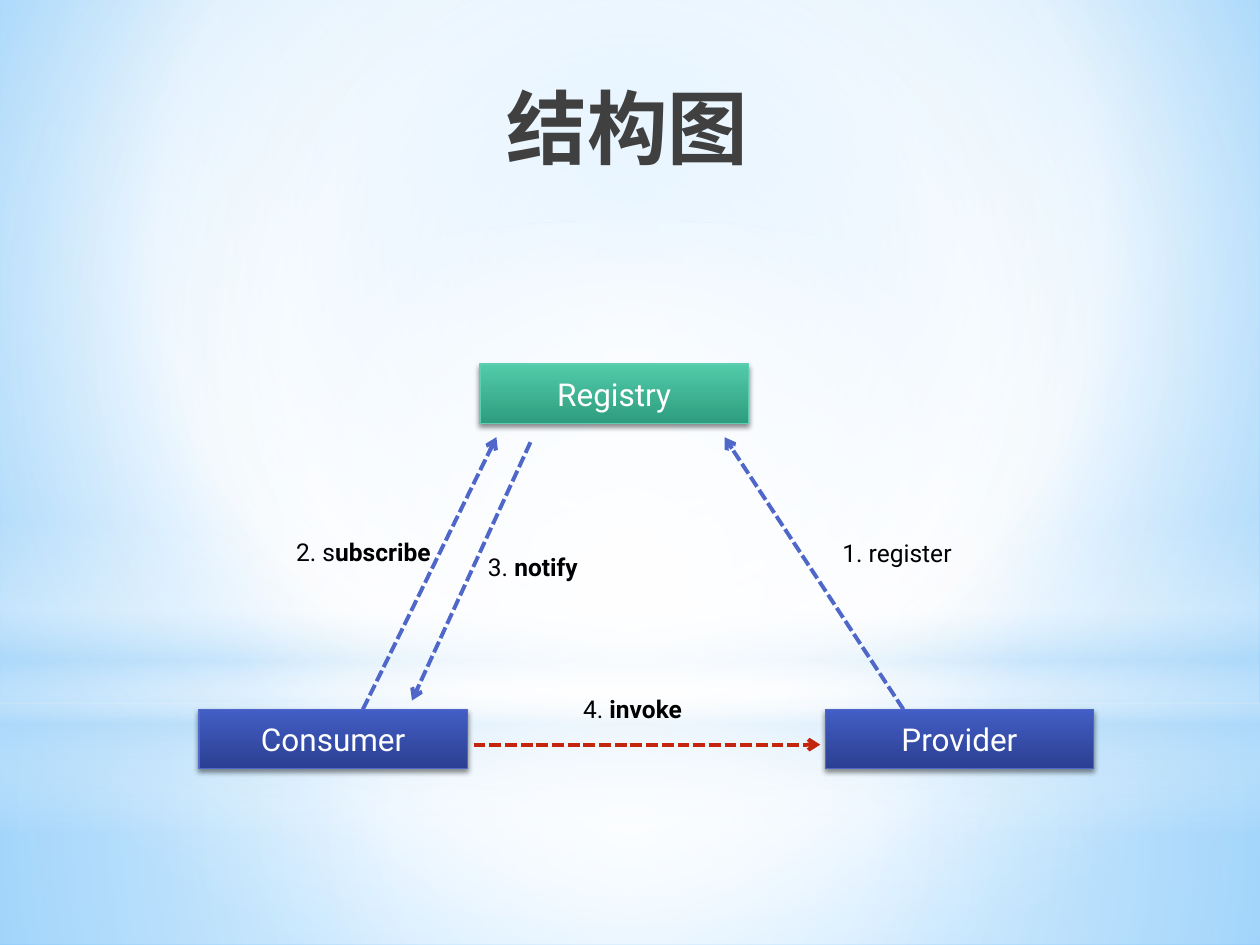
import pptx
import pptx.util
import pptx.oxml
import pptx.oxml.ns
import pptx.enum.shapes
import pptx.enum.text
from lxml import etree

Inches, Pt = pptx.util.Inches, pptx.util.Pt
SHAPE = pptx.enum.shapes.MSO_SHAPE
ANCHOR = pptx.enum.text.MSO_ANCHOR
NS = pptx.oxml.ns.nsdecls("a")
W, H = 10, 7.5
BLUE, GREEN, RED = "4E67C8", "5DCEAF", "C3260C"


def paint(parent, *stops, at=0, angle=90, to=None):
    """Insert a solid fill for one hex colour, or a gradient for (position, hex, opacity) stops."""
    if len(stops) == 1:
        xml = f'<a:solidFill {NS}><a:srgbClr val="{stops[0]}"/></a:solidFill>'
    else:
        gs = "".join(
            f'<a:gs pos="{pos * 1000}"><a:srgbClr val="{color}">'
            f'<a:alpha val="{alpha * 1000}"/></a:srgbClr></a:gs>'
            for pos, color, alpha in stops)
        if to:
            l, t, r, b = (1000 * n for n in to)
            course = (f'<a:path path="circle"><a:fillToRect l="{l}" t="{t}" '
                      f'r="{r}" b="{b}"/></a:path>')
        else:
            course = f'<a:lin ang="{angle * 60000}" scaled="0"/>'
        xml = f'<a:gradFill {NS} rotWithShape="1"><a:gsLst>{gs}</a:gsLst>{course}</a:gradFill>'
    parent.insert(at, pptx.oxml.parse_xml(xml))


def write(sp, *parts, size=14, font="Roboto", color="000000", anchor=ANCHOR.MIDDLE, spacing=1.0):
    """Write one centred paragraph of (text, bold) parts into a shape."""
    tf = sp.text_frame
    tf.word_wrap = True
    tf.vertical_anchor = anchor
    p = tf.paragraphs[0]
    p.alignment = pptx.enum.text.PP_ALIGN.CENTER
    p.line_spacing = spacing
    for text, bold in parts:
        r = p.add_run()
        r.text = text
        r.font.size, r.font.name, r.font.bold = Pt(size), font, bold
        paint(r.font._element, color)


prs = pptx.Presentation()
prs.slide_width, prs.slide_height = Inches(W), Inches(H)
s = prs.slides.add_slide(prs.slide_layouts[6])

# Background and its soft light bands
s.background.fill.solid()
bg = s.element.xpath(".//p:bgPr")[0]
bg.remove(bg[0])
paint(bg, (0, "9ED5FF", 100), (60, "FFFFFF", 100), (100, "5BB9FF", 100), to=(20, 10, 20, 60))

horizon = 5.58
center = (50, 50, 50, 50)
glows = [
    (SHAPE.RECTANGLE, horizon, H - horizon, center,
     [(0, "FFFFFF", 91), (37, "FFFFFF", 76), (100, "B4DCFA", 79)]),
    (SHAPE.RECTANGLE, 0, horizon, center,
     [(0, "FFFFFF", 89), (48, "FFFFFF", 62), (100, "B4DCFA", 79)]),
    (SHAPE.RECTANGLE, 4.12, H / 3, None,
     [(0, "FFFFFF", 0), (29, "FFFFFF", 30), (45, "B4DCFA", 40),
      (55, "FFFFFF", 26), (65, "B4DCFA", 60), (100, "FFFFFF", 0)]),
    (SHAPE.OVAL, 1.75, horizon, center, [(0, "FFFFFF", 100), (56, "FFFFFF", 0)]),
]
for kind, top, height, to, stops in glows:
    sp = s.shapes.add_shape(kind, 0, Inches(top), Inches(W), Inches(height))
    sp.shadow.inherit = False
    sp.line.fill.background()
    paint(sp._element.spPr, *stops, at=2, to=to)

title = s.shapes.add_textbox(Inches(1.42), Inches(0.66), Inches(7.12), Inches(1.25))
write(title, ("结构图", True), size=46, font="Arial", color="404040",
      anchor=ANCHOR.TOP, spacing=0.9)

# Three roles
box_w, box_h = 2.13, 0.47
top_row, bottom_row = 2.89, 5.63
roles = [
    ("Registry", 3.81, top_row, GREEN, "52CBA9", "2E9D7F"),
    ("Provider", 6.55, bottom_row, BLUE, "435EC5", "2B4092"),
    ("Consumer", 1.58, bottom_row, BLUE, "435EC5", "2B4092"),
]
for name, left, top, edge, light, dark in roles:
    sp = s.shapes.add_shape(SHAPE.RECTANGLE, Inches(left), Inches(top),
                            Inches(box_w), Inches(box_h))
    sp.shadow.inherit = False
    sp.line.width = Pt(0.75)
    paint(sp.line._ln, edge)
    paint(sp._element.spPr, (0, light, 100), (100, dark, 100), at=2)
    effects = sp._element.spPr.find(pptx.oxml.ns.qn("a:effectLst"))
    shadow = etree.SubElement(effects, pptx.oxml.ns.qn("a:outerShdw"),
                              blurRad=str(Pt(3.1)), dist=str(Pt(1.8)), dir="5400000",
                              algn="ctr", rotWithShape="0")
    shade = etree.SubElement(shadow, pptx.oxml.ns.qn("a:srgbClr"), val="000000")
    etree.SubElement(shade, pptx.oxml.ns.qn("a:alpha"), val="45000")
    write(sp, (name, False), size=18, color="FFFFFF")

# Calls between the roles
arrow_tip = 3.47
arrows = [
    (7.17, bottom_row, 5.75, arrow_tip, BLUE),
    (2.88, bottom_row, 3.94, arrow_tip, BLUE),
    (4.21, 3.51, 3.27, 5.56, BLUE),
    (3.76, 5.91, 6.51, 5.91, RED),
]
for *ends, color in arrows:
    line = s.shapes.add_connector(pptx.enum.shapes.MSO_CONNECTOR.STRAIGHT, *map(Inches, ends))
    line.line.width = Pt(2.25)
    ln = line.line._ln
    paint(ln, color)
    etree.SubElement(ln, pptx.oxml.ns.qn("a:prstDash"), val="sysDash")
    etree.SubElement(ln, pptx.oxml.ns.qn("a:tailEnd"), type="arrow")
    etree.SubElement(line._element.spPr, pptx.oxml.ns.qn("a:effectLst"))

labels = [
    (6.55, 4.2, 1.14, "1. register", ""),
    (2.18, 4.19, 1.41, "2. s", "ubscribe"),
    (3.7, 4.31, 1.06, "3. ", "notify"),
    (4.49, 5.44, 1.06, "4. ", "invoke"),
]
for left, top, width, plain, strong in labels:
    tb = s.shapes.add_textbox(Inches(left), Inches(top), Inches(width), Inches(0.37))
    parts = [(plain, False), (strong, True)]
    write(tb, *[part for part in parts if part[0]])

prs.save("out.pptx")
